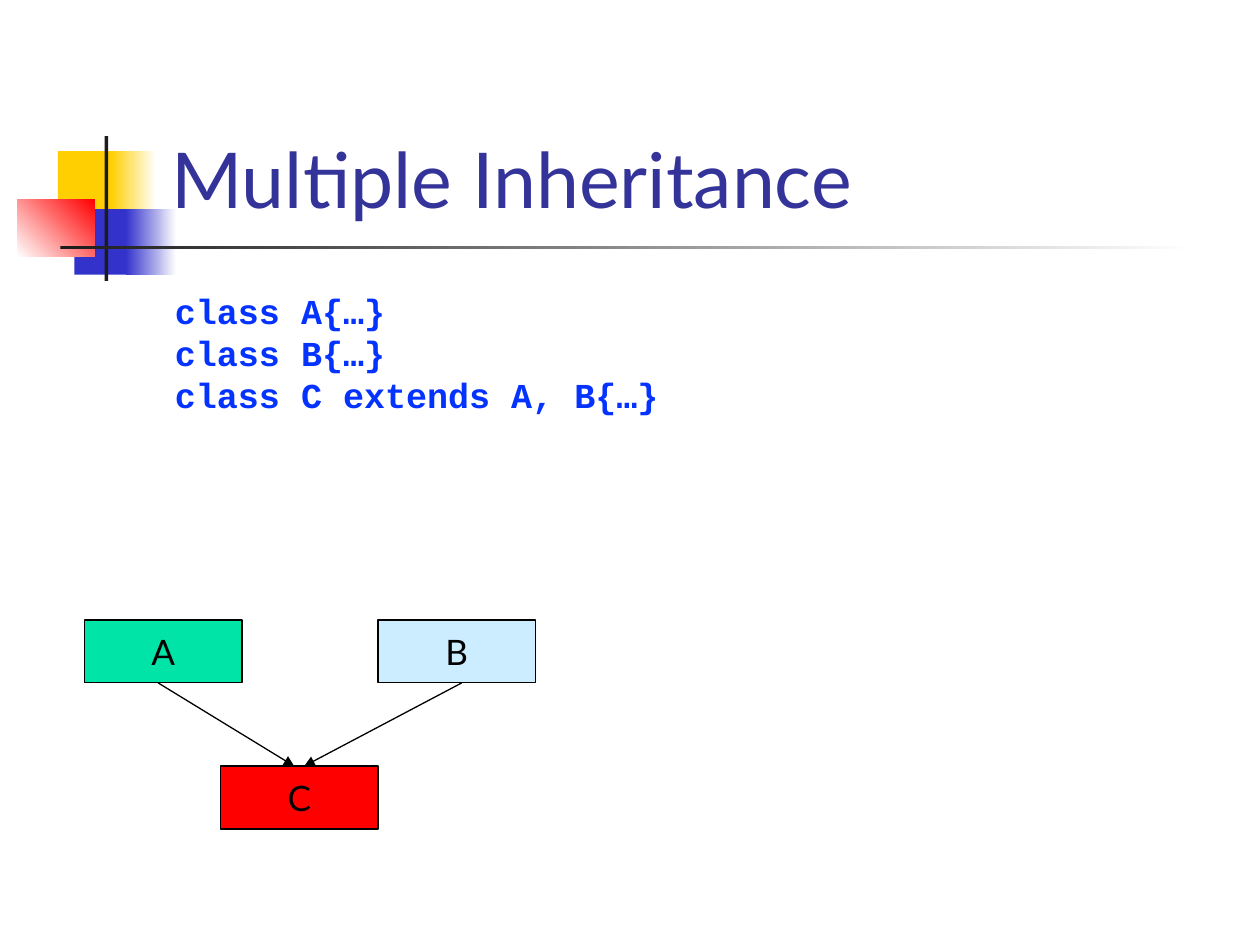
from dataclasses import dataclass

from lxml import etree
from pptx import Presentation
from pptx.dml.color import RGBColor
from pptx.enum import shapes, text
from pptx.oxml import ns
from pptx.util import Inches, Pt


@dataclass(frozen=True)
class Theme:
    yellow: str = "FFCF01"
    blue: str = "3333CC"
    red: str = "FF0000"
    dark: str = "1C1C1C"
    white: str = "FFFFFF"
    black: str = "000000"
    green: str = "00E4A8"
    sky: str = "CCECFF"
    title: str = "333399"
    code: str = "0432FF"
    sans: str = "Lato"
    mono: str = "Courier New"
    title_size: int = 44
    body_size: int = 20
    code_leading: int = 24
    line_width: float = 0.75


THEME = Theme()


def rgb(value):
    return RGBColor.from_string(value)


def add_span(para, words, size, font, color, bold=False):
    span = para.add_run()
    span.text = words
    span.font.size = Pt(size)
    span.font.name = font
    span.font.bold = bold
    span.font.color.rgb = rgb(color)


def add_block(page, box, color, end_color=None, angle=0):
    """Add a borderless rectangle, shaded towards end_color if one is given."""
    block = page.shapes.add_shape(
        shapes.MSO_SHAPE.RECTANGLE, *(Inches(length) for length in box))
    block.shadow.inherit = False
    block.line.fill.background()
    if end_color:
        block.fill.gradient()
        block.fill.gradient_angle = angle
        for stop, stop_color in zip(block.fill.gradient_stops, (color, end_color)):
            stop.color.rgb = rgb(stop_color)
    else:
        block.fill.solid()
        block.fill.fore_color.rgb = rgb(color)
    return block


def add_ornament(page, left, top):
    """Add the overlapping squares and the crossed rules beside the title."""
    parts = [
        ((0.32, 0.12, 0.48, 0.52), THEME.yellow),
        ((0.74, 0.12, 0.36, 0.52), THEME.yellow, THEME.white),
        ((0.45, 0.58, 0.46, 0.52), THEME.blue),
        ((0.86, 0.58, 0.4, 0.52), THEME.blue, THEME.white),
        ((0, 0.5, 0.61, 0.46), THEME.white, THEME.red, 45),
        ((0.69, 0, 0.03, 1.15), THEME.dark),
        ((0.34, 0.87, 9, 0.03), THEME.dark, THEME.white),
    ]
    for (x, y, width, height), *paint in parts:
        add_block(page, (left + x, top + y, width, height), *paint)


def add_text_frame(page, box):
    frame = page.shapes.add_textbox(*(Inches(length) for length in box)).text_frame
    frame.word_wrap = True
    return frame


def add_title(page, box, words):
    frame = add_text_frame(page, box)
    frame.vertical_anchor = text.MSO_ANCHOR.BOTTOM
    add_span(frame.paragraphs[0], words, THEME.title_size, THEME.sans, THEME.title)


def add_code(page, box, lines):
    frame = add_text_frame(page, box)
    frame.margin_top = Inches(0.09)
    for index, line in enumerate(lines):
        para = frame.add_paragraph() if index else frame.paragraphs[0]
        para.line_spacing = Pt(THEME.code_leading)
        add_span(para, line, THEME.body_size, THEME.mono, THEME.code, bold=True)


def add_class_box(page, box, name, color):
    block = add_block(page, box, color)
    block.line.color.rgb = rgb(THEME.black)
    block.line.width = Pt(THEME.line_width)
    frame = block.text_frame
    frame.word_wrap = False
    frame.vertical_anchor = text.MSO_ANCHOR.MIDDLE
    para = frame.paragraphs[0]
    para.alignment = text.PP_ALIGN.CENTER
    add_span(para, name, THEME.body_size, THEME.sans, THEME.black)


def add_arrow(page, start, end):
    arrow = page.shapes.add_connector(
        shapes.MSO_CONNECTOR.STRAIGHT, *(Inches(length) for length in start + end))
    arrow.line.color.rgb = rgb(THEME.black)
    arrow.line.width = Pt(THEME.line_width)
    line = arrow.line._get_or_add_ln()
    etree.SubElement(line, ns.qn("a:tailEnd"), type="triangle")
    etree.SubElement(arrow._element.spPr, ns.qn("a:effectLst"))


def add_class_diagram(page, box):
    """Add two parent classes at the top corners and their child at the bottom."""
    left, top, width, height = box
    box_width, box_height = 1.25, 0.5
    child_left, child_top = left + 1.08, top + height - box_height
    parents = [
        ("A", left, THEME.green, -0.04),
        ("B", left + width - box_width, THEME.sky, 0.04),
    ]
    for name, x, color, _ in parents:
        add_class_box(page, (x, top, box_width, box_height), name, color)
    add_class_box(page, (child_left, child_top, box_width, box_height), "C", THEME.red)
    for _, x, _, shift in parents:
        offset = box_width / 2 + shift
        add_arrow(page, (x + offset, top + box_height), (child_left + offset, child_top))


def main():
    deck = Presentation()
    deck.slide_width, deck.slide_height = Inches(10), Inches(7.5)
    page = deck.slides.add_slide(deck.slide_layouts[6])
    add_ornament(page, 0.14, 1.08)
    add_title(page, (1.26, 0.23, 8.52, 1.6), "Multiple Inheritance")
    add_code(page, (1.29, 2.21, 8.5, 1.71),
             ["class A{…}", "class B{…}", "class C extends A, B{…}"])
    add_class_diagram(page, (0.67, 4.92, 3.58, 1.66))
    deck.save("out.pptx")


if __name__ == "__main__":
    main()
